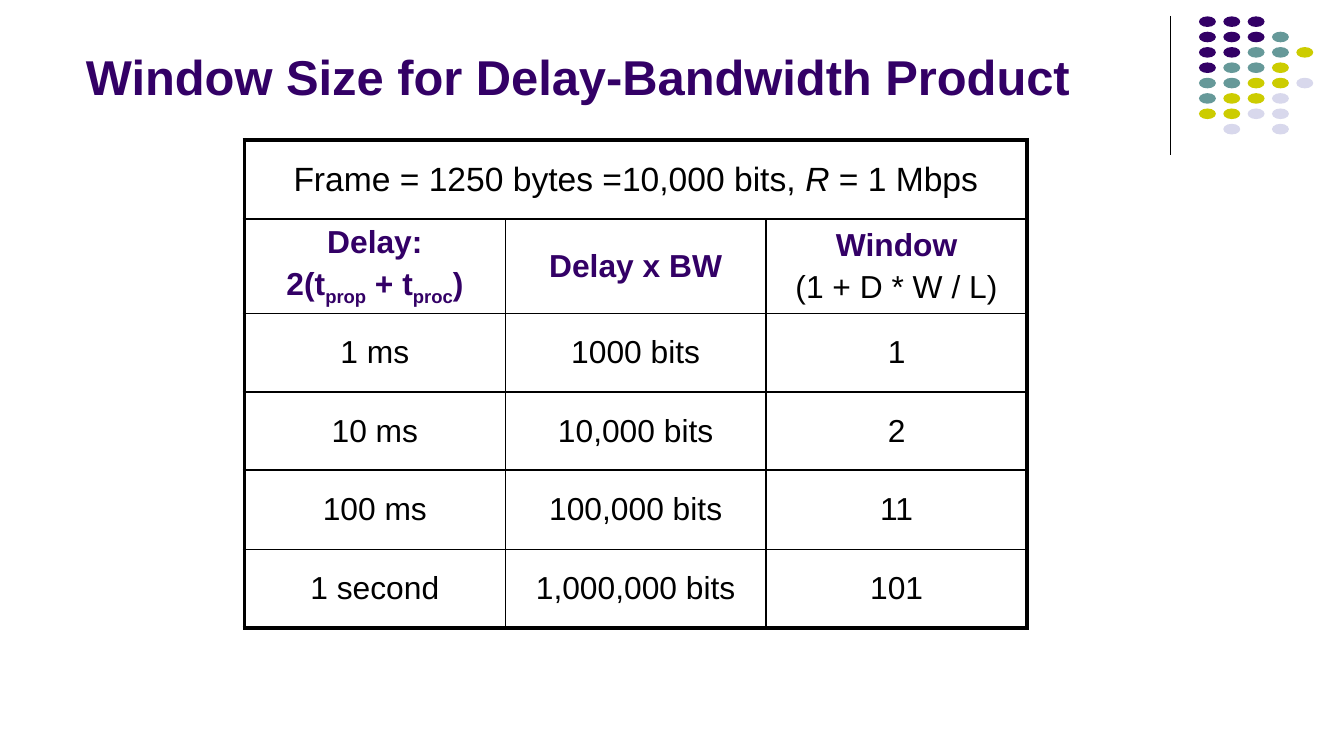
import lxml.etree
import pptx
import pptx.dml.color
import pptx.enum.shapes
import pptx.enum.text
import pptx.oxml
import pptx.oxml.ns
import pptx.util
from pptx.util import Cm

PURPLE = pptx.dml.color.RGBColor(0x33, 0x00, 0x66)
TEAL = pptx.dml.color.RGBColor(0x66, 0x99, 0x99)
OLIVE = pptx.dml.color.RGBColor(0xCC, 0xCC, 0x00)
LAVENDER = pptx.dml.color.RGBColor(0xD8, 0xD8, 0xEC)
BLACK = pptx.dml.color.RGBColor(0x00, 0x00, 0x00)

DOT_COLORS = {"P": PURPLE, "T": TEAL, "O": OLIVE, "L": LAVENDER}
DOT_ROWS = ["PPP", "PPPT", "PPTTO", "PTTO", "TTOOL", "TOOL", "OOLL", " L L"]

ROW_HEIGHTS = [1.5, 1.78, 1.48, 1.48, 1.5, 1.48]
COLUMN_WIDTH = 4.93
HEADING = {"color": PURPLE, "bold": True}
SUBSCRIPT = {**HEADING, "baseline": -25000}
CAPTION = [
    [
        ("Frame = 1250 bytes =10,000 bits, ", {"size": 18}),
        ("R", {"size": 18, "italic": True}),
        (" = 1 Mbps", {"size": 18}),
    ]
]
HEADERS = [
    [
        [("Delay:", HEADING)],
        [
            ("2(t", HEADING),
            ("prop", SUBSCRIPT),
            (" + t", HEADING),
            ("proc", SUBSCRIPT),
            (")", HEADING),
        ],
    ],
    [[("Delay x BW", HEADING)]],
    [[("Window", HEADING)], [("(1 + D * W / L)", {})]],
]
DATA = [
    ("1 ms", "1000 bits", "1"),
    ("10 ms", "10,000 bits", "2"),
    ("100 ms", "100,000 bits", "11"),
    ("1 second", "1,000,000 bits", "101"),
]


def add_text(paragraph, text, size=17, color=BLACK, bold=False, italic=False, baseline=0):
    run = paragraph.add_run()
    run.text = text
    run.font.name = "Arial"
    run.font.size = pptx.util.Pt(size)
    run.font.color.rgb = color
    run.font.bold = bold
    run.font.italic = italic
    if baseline:
        run._r.get_or_add_rPr().set("baseline", str(baseline))


def add_title(slide, text):
    title = slide.shapes.title
    title.left, title.top = Cm(1.37), Cm(0.36)
    title.width, title.height = Cm(22.86), Cm(1.75)
    frame = title.text_frame
    frame.auto_size = pptx.enum.text.MSO_AUTO_SIZE.NONE
    frame.word_wrap = True
    frame.vertical_anchor = pptx.enum.text.MSO_ANCHOR.BOTTOM
    paragraph = frame.paragraphs[0]
    paragraph.alignment = pptx.enum.text.PP_ALIGN.LEFT
    add_text(paragraph, text, size=26.2, color=PURPLE, bold=True)


def add_divider(slide):
    divider = slide.shapes.add_connector(
        pptx.enum.shapes.MSO_CONNECTOR.STRAIGHT, Cm(22.12), Cm(0.3), Cm(22.12), Cm(2.92)
    )
    divider.line.color.rgb = BLACK
    divider.line.width = pptx.util.Pt(0.75)
    lxml.etree.SubElement(divider._element.spPr, pptx.oxml.ns.qn("a:effectLst"))


def add_dots(slide):
    for row, pattern in enumerate(DOT_ROWS):
        for column, key in enumerate(pattern):
            if key == " ":
                continue
            dot = slide.shapes.add_shape(
                pptx.enum.shapes.MSO_SHAPE.OVAL,
                Cm(22.66 + 0.46 * column), Cm(0.31 + 0.29 * row), Cm(0.32), Cm(0.2),
            )
            dot.shadow.inherit = False
            dot.fill.solid()
            dot.fill.fore_color.rgb = DOT_COLORS[key]
            dot.line.fill.background()


def set_borders(cell, widths):
    properties = cell._tc.get_or_add_tcPr()
    for index, (side, width) in enumerate(zip("LRTB", widths)):
        border = pptx.oxml.parse_xml(
            f'<a:ln{side} {pptx.oxml.ns.nsdecls("a")} w="{pptx.util.Pt(width)}">'
            f'<a:solidFill><a:srgbClr val="{BLACK}"/></a:solidFill></a:ln{side}>'
        )
        properties.insert(index, border)


def fill_cell(cell, paragraphs):
    cell.vertical_anchor = pptx.enum.text.MSO_ANCHOR.MIDDLE
    cell.margin_left = cell.margin_right = Cm(0.18)
    cell.margin_top = cell.margin_bottom = Cm(0.1)
    frame = cell.text_frame
    for index, runs in enumerate(paragraphs):
        paragraph = frame.add_paragraph() if index else frame.paragraphs[0]
        paragraph.alignment = pptx.enum.text.PP_ALIGN.CENTER
        if index:
            paragraph.space_before = pptx.util.Pt(3.4)
        for text, text_format in runs:
            add_text(paragraph, text, **text_format)


def add_window_table(slide):
    row_count, column_count = len(ROW_HEIGHTS), len(HEADERS)
    table = slide.shapes.add_table(
        row_count, column_count, Cm(4.62), Cm(2.64),
        Cm(COLUMN_WIDTH * column_count), Cm(sum(ROW_HEIGHTS)),
    ).table
    table.first_row = table.horz_banding = False
    for column in table.columns:
        column.width = Cm(COLUMN_WIDTH)
    for row, height in zip(table.rows, ROW_HEIGHTS):
        row.height = Cm(height)

    for row in range(row_count):
        for column in range(column_count):
            cell = table.cell(row, column)
            cell.fill.background()
            outer_edges = (
                column == 0,
                column == column_count - 1 or row == 0,
                row == 0,
                row == row_count - 1,
            )
            set_borders(cell, [2.25 if outer else 1 for outer in outer_edges])

    table.cell(0, 0).merge(table.cell(0, column_count - 1))
    fill_cell(table.cell(0, 0), CAPTION)
    body = [[[[(text, {})]] for text in values] for values in DATA]
    for row, contents in enumerate([HEADERS] + body, start=1):
        for column, paragraphs in enumerate(contents):
            fill_cell(table.cell(row, column), paragraphs)


def main():
    presentation = pptx.Presentation()
    presentation.slide_width = Cm(25.4)
    presentation.slide_height = Cm(14.28)
    slide = presentation.slides.add_slide(presentation.slide_layouts[5])
    add_divider(slide)
    add_dots(slide)
    add_window_table(slide)
    add_title(slide, "Window Size for Delay-Bandwidth Product")
    presentation.save("out.pptx")


if __name__ == "__main__":
    main()
